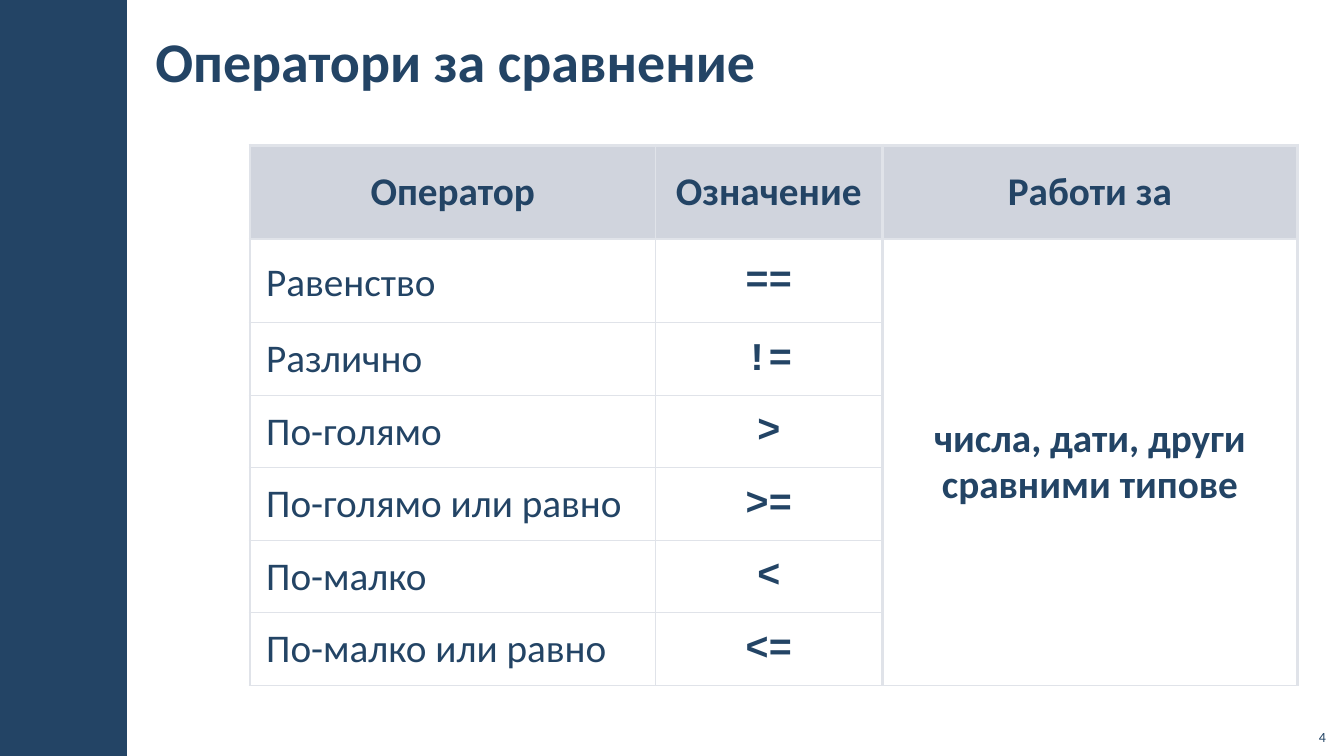
from lxml.etree import SubElement
from pptx import Presentation
from pptx.dml.color import RGBColor
from pptx.enum.shapes import MSO_SHAPE
from pptx.enum.text import MSO_ANCHOR, PP_ALIGN
from pptx.oxml.ns import qn
from pptx.util import Inches, Pt

NAVY = "234465"
HEADER_GREY = "A3ABBC"
BORDER_GREY = "E0E3E9"
HEADERS = ("Оператор", "Означение", "Работи за")
OPERATORS = (
    ("Равенство", "=="),
    ("Различно", "!="),
    ("По-голямо", ">"),
    ("По-голямо или равно", ">="),
    ("По-малко", "<"),
    ("По-малко или равно", "<="),
)
COMPARABLE_TYPES = "числа, дати, други сравними типове"
COLUMN_WIDTHS = (4.02, 2.25, 4.12)
ROW_HEIGHTS = (0.93, 0.83) + (0.72,) * 5
COLUMN_LINES = (2.25, 1, 2.25, 2.25)
ROW_LINES = (2.25, 2.25) + (1,) * 6


def color(hex_string):
    """Return the colour for a hex string."""
    return RGBColor.from_string(hex_string)


def write(text_frame, text, size, bold=False, font="Calibri", align=PP_ALIGN.LEFT):
    """Set the text of a frame and format its only run."""
    text_frame.text = text
    paragraph = text_frame.paragraphs[0]
    paragraph.alignment = align
    paragraph.space_before = Pt(0)
    run_font = paragraph.runs[0].font
    run_font.name = font
    run_font.size = Pt(size)
    run_font.bold = bold
    run_font.color.rgb = color(NAVY)
    return paragraph


def set_borders(cell, row, column):
    """Draw the four borders of a cell from the grid line widths."""
    properties = cell._tc.get_or_add_tcPr()
    sides = (
        ("a:lnL", COLUMN_LINES[column]),
        ("a:lnR", COLUMN_LINES[column + 1]),
        ("a:lnT", ROW_LINES[row]),
        ("a:lnB", ROW_LINES[row + 1]),
    )
    for tag, width in sides:
        line = SubElement(properties, qn(tag), w=str(Pt(width)))
        fill = SubElement(line, qn("a:solidFill"))
        SubElement(fill, qn("a:srgbClr"), val=BORDER_GREY)


def fill_cell(cell, row):
    """Fill header cells with half-transparent grey and leave the others clear."""
    if row:
        cell.fill.background()
        return
    cell.fill.solid()
    cell.fill.fore_color.rgb = color(HEADER_GREY)
    for value in cell._tc.tcPr.findall(qn("a:solidFill") + "/" + qn("a:srgbClr")):
        SubElement(value, qn("a:alpha"), val="50000")


def write_cell(cell, text, **style):
    """Write one table cell, centred vertically."""
    paragraph = write(cell.text_frame, text, 28, **style)
    paragraph.line_spacing = 0.95
    return paragraph


def add_sidebar(slide, left, top, width, height):
    """Add the navy band."""
    band = slide.shapes.add_shape(
        MSO_SHAPE.RECTANGLE, Inches(left), Inches(top), Inches(width), Inches(height)
    )
    band.shadow.inherit = False
    band.fill.solid()
    band.fill.fore_color.rgb = color(NAVY)
    band.line.fill.background()


def add_title(slide, left, top, width, height):
    """Place and write the title."""
    title = slide.shapes.title
    title.left, title.top = Inches(left), Inches(top)
    title.width, title.height = Inches(width), Inches(height)
    frame = title.text_frame
    frame.margin_left = frame.margin_right = Inches(0.12)
    frame.margin_top = frame.margin_bottom = Inches(0.04)
    frame.vertical_anchor = MSO_ANCHOR.MIDDLE
    write(frame, "Оператори за сравнение", 40, bold=True)


def add_operator_table(slide, left, top):
    """Add the table of comparison operators."""
    table = slide.shapes.add_table(
        len(ROW_HEIGHTS), len(COLUMN_WIDTHS), Inches(left), Inches(top),
        Inches(sum(COLUMN_WIDTHS)), Inches(sum(ROW_HEIGHTS)),
    ).table
    table.first_row = table.horz_banding = False
    for column, width in zip(table.columns, COLUMN_WIDTHS):
        column.width = Inches(width)
    for row, height in zip(table.rows, ROW_HEIGHTS):
        row.height = Inches(height)
    for row in range(len(ROW_HEIGHTS)):
        for column in range(len(COLUMN_WIDTHS)):
            cell = table.cell(row, column)
            cell.margin_left = cell.margin_right = Inches(0.16)
            cell.margin_top = cell.margin_bottom = Inches(0.05)
            cell.vertical_anchor = MSO_ANCHOR.MIDDLE
            set_borders(cell, row, column)
            fill_cell(cell, row)
    centred = {"bold": True, "align": PP_ALIGN.CENTER}
    for column, header in enumerate(HEADERS):
        write_cell(table.cell(0, column), header, **centred)
    for row, (name, symbol) in enumerate(OPERATORS, start=1):
        write_cell(table.cell(row, 0), name)
        write_cell(table.cell(row, 1), symbol, font="Courier New", **centred)
    table.cell(1, 0).text_frame.paragraphs[0].line_spacing = Pt(38)
    table.cell(1, 2).merge(table.cell(len(OPERATORS), 2))
    write_cell(table.cell(1, 2), COMPARABLE_TYPES, **centred)


def add_slide_number(slide, left, top, width, height):
    """Add the slide number."""
    box = slide.shapes.add_textbox(
        Inches(left), Inches(top), Inches(width), Inches(height)
    )
    box.text_frame.word_wrap = True
    box.text_frame.vertical_anchor = MSO_ANCHOR.BOTTOM
    write(box.text_frame, "4", 10, align=PP_ALIGN.RIGHT)


def main():
    """Build and save the presentation."""
    presentation = Presentation()
    presentation.slide_width = Inches(13.33)
    presentation.slide_height = Inches(7.5)
    slide = presentation.slides.add_slide(presentation.slide_layouts[5])
    add_sidebar(slide, 0, 0, 1.26, 7.5)
    add_title(slide, 1.42, 0.11, 9.43, 0.97)
    add_operator_table(slide, 2.48, 1.44)
    add_slide_number(slide, 12.85, 7.12, 0.4, 0.32)
    presentation.save("out.pptx")


if __name__ == "__main__":
    main()
